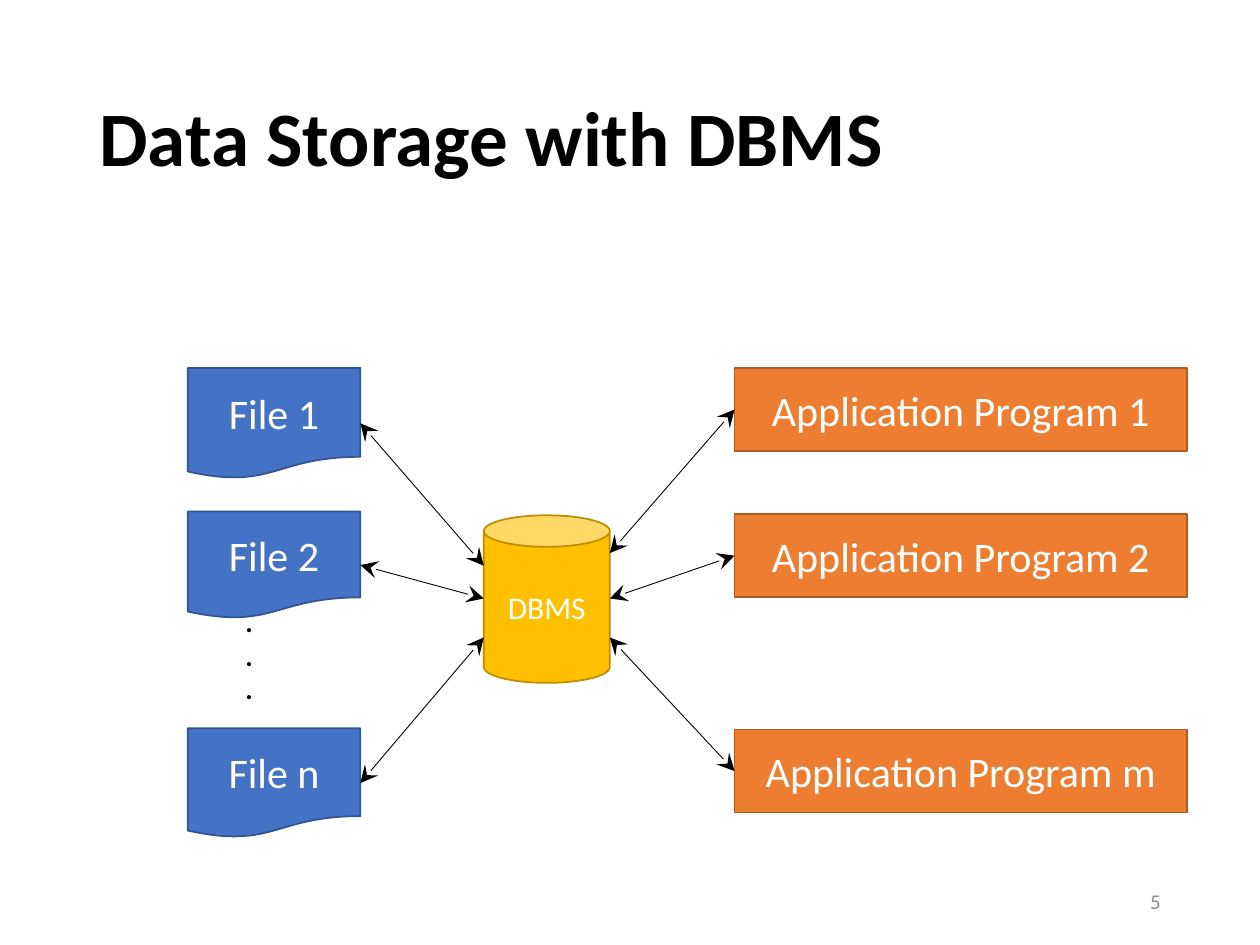
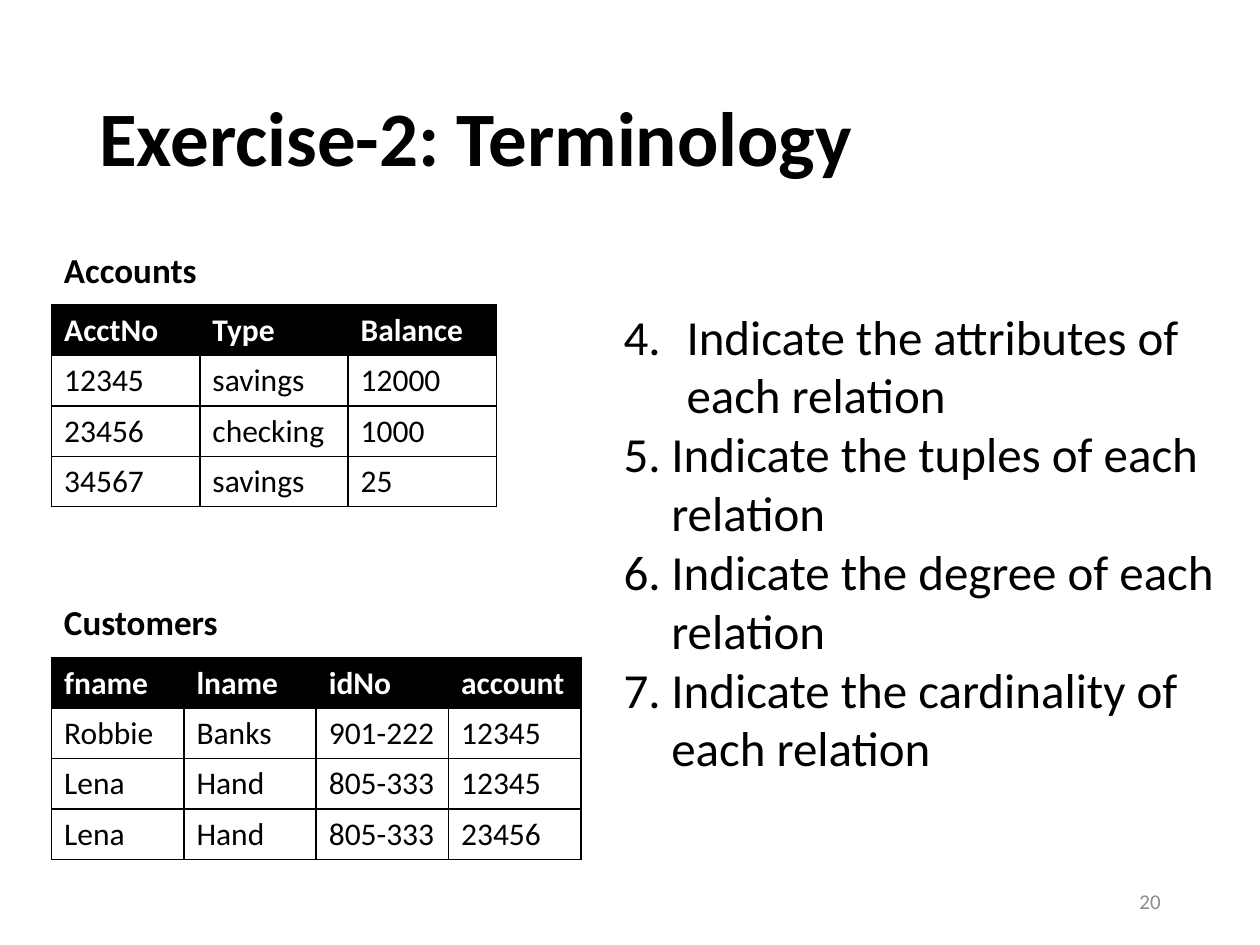
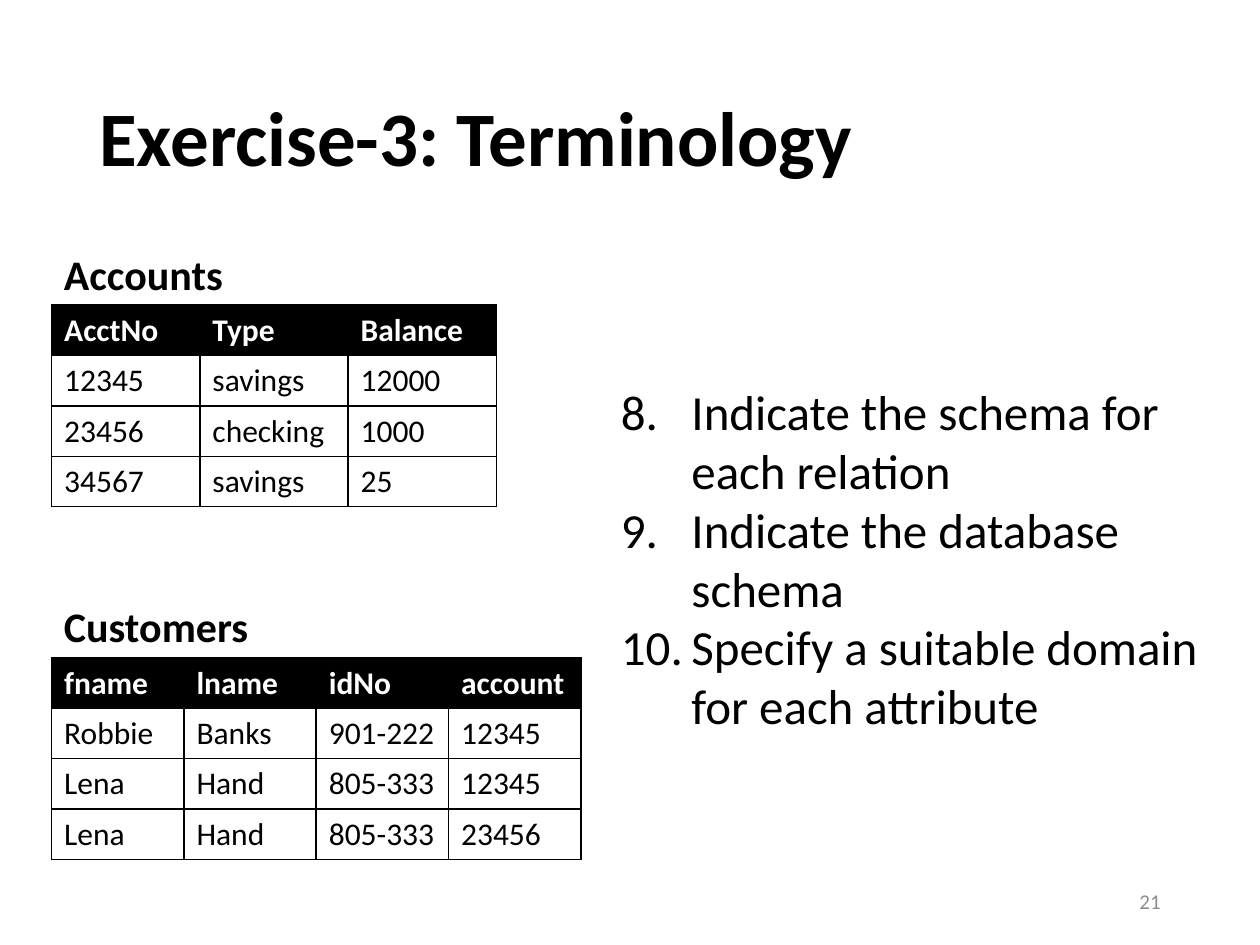
from lxml import etree
from pptx import Presentation
from pptx import util as u
from pptx.dml.color import RGBColor
from pptx.enum import shapes, text
from pptx.oxml.ns import qn

BLACK, WHITE, GREY = "000000", "FFFFFF", "8C8C8C"
FONT = "Calibri"
MIDDLE = text.MSO_ANCHOR.MIDDLE
TITLE_FORMAT = {"size": 44, "bold": True}
NUMBER_FORMAT = {"size": 12, "color": GREY}
TITLE_BOX = (0.69, 0.4, 8.62, 1.45)
NUMBER_BOX = (7.06, 6.95, 2.25, 0.4)

FILES = {
    "labels": [("File 1", 2.92, 0.88, 4.49), ("File 2", 4.06, 0.85, 4.75), ("File n", 5.78, 0.87, 5.06)],
    "left": 1.49, "width": 1.37, "preset": shapes.MSO_SHAPE.FLOWCHART_DOCUMENT,
    "fill": "4472C4", "edge": "325491",
}
PROGRAMS = {
    "labels": [("Application Program 1", 2.92, 0.66, 4.39), ("Application Program 2", 4.08, 0.66, 4.75),
               ("Application Program m", 5.79, 0.66, 5.06)],
    "left": 5.83, "width": 3.59, "preset": shapes.MSO_SHAPE.RECTANGLE,
    "fill": "ED7D31", "edge": "AF5C24",
}
DBMS_BOX = (3.84, 4.09, 1, 1.33)

RELATIONS = [
    ("Accounts", 2.42, 3.53, [
        ("AcctNo", "Type", "Balance"),
        ("12345", "savings", "12000"),
        ("23456", "checking", "1000"),
        ("34567", "savings", "25"),
    ]),
    ("Customers", 5.22, 4.2, [
        ("fname", "lname", "idNo", "account"),
        ("Robbie", "Banks", "901-222", "12345"),
        ("Lena", "Hand", "805-333", "12345"),
        ("Lena", "Hand", "805-333", "23456"),
    ]),
]
RELATION_LEFT, ROW_HEIGHT = 0.41, 0.4
CAPTION_RISE, CAPTION_WIDTH, CAPTION_HEIGHT = 0.5, 2, 0.5

EXERCISES = [
    {"title": "Exercise-2: Terminology", "number": 20, "caption_size": 20,
     "box": (4.85, 2.38, 4.98, 3.87), "start": 4,
     "questions": [("Indicate the attributes of each relation", 0.5),
                   ("Indicate the tuples of each relation", 0.38),
                   ("Indicate the degree of each relation", 0.38),
                   ("Indicate the cardinality of each relation", 0.38)]},
    {"title": "Exercise-3: Terminology", "number": 21, "caption_size": 24,
     "box": (4.83, 2.98, 5.17, 2.93), "start": 8,
     "questions": [("Indicate the schema for each relation", 0.56),
                   ("Indicate the database schema", 0.56),
                   ("Specify a suitable domain for each attribute", 0.56)]},
]


def rgb(value):
    return RGBColor.from_string(value)


def inches(values):
    return [u.Inches(value) for value in values]


def write(frame, lines, size, color=BLACK, bold=False, align=None):
    for index, line in enumerate(lines):
        paragraph = frame.paragraphs[0] if index == 0 else frame.add_paragraph()
        paragraph.alignment = align
        run = paragraph.add_run()
        run.text = line
        for name, value in {"name": FONT, "size": u.Pt(size), "bold": bold}.items():
            setattr(run.font, name, value)
        run.font.color.rgb = rgb(color)


def add_text(slide, box, lines, anchor=text.MSO_ANCHOR.TOP, **style):
    frame = slide.shapes.add_textbox(*inches(box)).text_frame
    for name, value in {"word_wrap": True, "vertical_anchor": anchor}.items():
        setattr(frame, name, value)
    write(frame, lines, **style)
    return frame


def add_node(slide, preset, box, label, fill, edge, size):
    node = slide.shapes.add_shape(preset, *inches(box))
    node.shadow.inherit = False
    node.fill.solid()
    node.fill.fore_color.rgb = rgb(fill)
    node.line.color.rgb = rgb(edge)
    node.line.width = u.Pt(1)
    node.text_frame.vertical_anchor = MIDDLE
    node.text_frame.word_wrap = True
    write(node.text_frame, [label], size, WHITE, align=text.PP_ALIGN.CENTER)


def add_arrow(slide, start, end):
    arrow = slide.shapes.add_connector(shapes.MSO_CONNECTOR.STRAIGHT, *inches(start + end))
    arrow.line.color.rgb = rgb(BLACK)
    arrow.line.width = u.Pt(0.5)
    for tag in ("a:headEnd", "a:tailEnd"):
        etree.SubElement(arrow.line._ln, qn(tag), type="stealth", w="lg", len="lg")
    etree.SubElement(arrow._element.spPr, qn("a:effectLst"))


def add_borders(cell):
    properties = cell._tc.get_or_add_tcPr()
    for index, tag in enumerate(("a:lnL", "a:lnR", "a:lnT", "a:lnB")):
        border = etree.Element(qn(tag), w=str(u.Pt(1)))
        fill = etree.SubElement(border, qn("a:solidFill"))
        etree.SubElement(fill, qn("a:srgbClr"), val=BLACK)
        properties.insert(index, border)


def add_relation(slide, caption, top, width, rows, caption_size):
    columns = len(rows[0])
    box = (RELATION_LEFT, top, width, ROW_HEIGHT * len(rows))
    table = slide.shapes.add_table(len(rows), columns, *inches(box)).table
    for column in table.columns:
        column.width = u.Inches(width / columns)
    for row_index, row in enumerate(rows):
        header = row_index == 0
        for column_index, value in enumerate(row):
            cell = table.cell(row_index, column_index)
            cell.fill.solid()
            cell.fill.fore_color.rgb = rgb(BLACK if header else WHITE)
            write(cell.text_frame, [value], 18, WHITE if header else BLACK, header)
            add_borders(cell)
    caption_box = (RELATION_LEFT, top - CAPTION_RISE, CAPTION_WIDTH, CAPTION_HEIGHT)
    add_text(slide, caption_box, [caption], size=caption_size, bold=True)


def add_questions(slide, box, questions, start):
    frame = add_text(slide, box, [question for question, _ in questions], size=28)
    for paragraph, (_, indent) in zip(frame.paragraphs, questions):
        properties = paragraph._p.get_or_add_pPr()
        for name, value in {"marL": indent, "indent": -indent}.items():
            properties.set(name, str(u.Inches(value)))
        etree.SubElement(properties, qn("a:buFont"), typeface="+mj-lt")
        etree.SubElement(properties, qn("a:buAutoNum"), type="arabicPeriod", startAt=str(start))


def new_slide(deck, title, number):
    slide = deck.slides.add_slide(deck.slide_layouts[6])
    heading = add_text(slide, TITLE_BOX, [title], anchor=MIDDLE, **TITLE_FORMAT)
    heading.paragraphs[0].line_spacing = 0.9
    add_text(slide, NUMBER_BOX, [str(number)], anchor=MIDDLE, align=text.PP_ALIGN.RIGHT, **NUMBER_FORMAT)
    return slide


def build_storage(deck):
    slide = new_slide(deck, "Data Storage with DBMS", 5)
    dbms_left, _, dbms_width, _ = DBMS_BOX
    add_node(slide, shapes.MSO_SHAPE.CAN, DBMS_BOX, "DBMS", "FFC000", "BD8E00", 18)
    add_text(slide, (1.85, 4.75, 0.27, 0.94), [".", ".", "."], size=16, bold=True)
    sides = [(FILES, dbms_left, FILES["left"] + FILES["width"]),
             (PROGRAMS, dbms_left + dbms_width, PROGRAMS["left"])]
    for group, dbms_x, node_x in sides:
        for label, top, height, dbms_y in group["labels"]:
            box = (group["left"], top, group["width"], height)
            add_node(slide, group["preset"], box, label, group["fill"], group["edge"], 24)
            add_arrow(slide, (dbms_x, dbms_y), (node_x, top + height / 2))


def build_exercise(deck, exercise):
    slide = new_slide(deck, exercise["title"], exercise["number"])
    for relation in RELATIONS:
        add_relation(slide, *relation, exercise["caption_size"])
    add_questions(slide, exercise["box"], exercise["questions"], exercise["start"])


def main():
    deck = Presentation()
    deck.slide_width, deck.slide_height = inches((10, 7.5))
    build_storage(deck)
    for exercise in EXERCISES:
        build_exercise(deck, exercise)
    deck.save("out.pptx")


if __name__ == "__main__":
    main()
